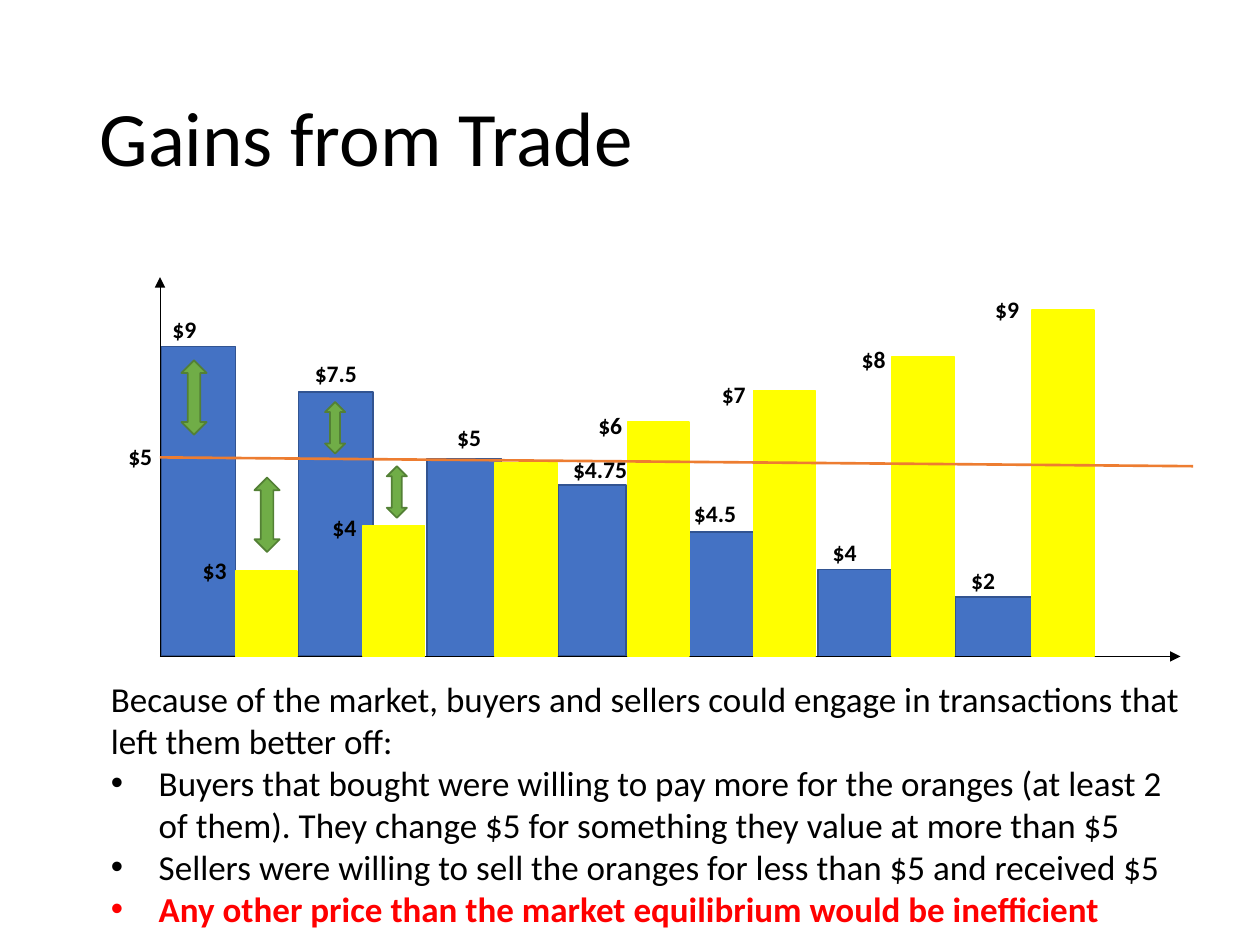
from typing import NamedTuple

from lxml.etree import SubElement
from pptx import Presentation
from pptx.dml.color import RGBColor
from pptx.enum.shapes import MSO_CONNECTOR, MSO_SHAPE
from pptx.enum.text import MSO_ANCHOR, MSO_AUTO_SIZE, PP_ALIGN
from pptx.oxml.ns import qn
from pptx.util import Emu, Inches, Pt

COLS, ROWS = 100, 75
BASE = 52.1
AXIS = 12.7
BLUE, NAVY, YELLOW = "4472C4", "325491", "FFFF00"
GREEN, FOREST, ORANGE = "70AD47", "538035", "ED7D31"
BLACK, RED = "000000", "FF0000"


class Tag(NamedTuple):
    text: str
    left: float
    top: float
    width: float = 3.9


class Bar(NamedTuple):
    left: float
    top: float
    width: float


class Arrow(NamedTuple):
    left: float
    top: float
    width: float
    height: float


BUYERS = [
    Bar(12.8, 27.5, 5.9), Bar(23.7, 31.1, 5.9), Bar(33.9, 36.4, 5.9),
    Bar(44.3, 38.5, 5.4), Bar(54.1, 42.2, 5.9), Bar(64.9, 45.2, 5.9),
    Bar(75.8, 47.4, 6.2),
]
SELLERS = [
    Bar(left, top, 4.9) for left, top in [
        (18.7, 45.3), (28.8, 41.7), (39.3, 36.7), (49.8, 33.5),
        (59.8, 31), (70.8, 28.3), (81.9, 24.6),
    ]
]
TAGS = [
    Tag("$3", 15.1, 43.6), Tag("$4", 25.4, 40.2), Tag("$5", 35.3, 33.1),
    Tag("$6", 46.5, 32.1), Tag("$7", 56.3, 29.7), Tag("$8", 67.4, 26.9),
    Tag("$9", 78, 22.9), Tag("$5", 9.2, 34.6), Tag("$9", 12.7, 24.5),
    Tag("$7.5", 24, 28, 5.4), Tag("$4.75", 44.5, 35.6, 6.3),
    Tag("$4.5", 54.1, 39.1, 5.4), Tag("$4", 65.1, 42.2), Tag("$2", 76.1, 44.4),
]
GAINS = [
    Arrow(14.4, 28.6, 2, 5.9), Arrow(20.2, 37.9, 2, 5.9),
    Arrow(25.8, 31.9, 1.6, 4.1), Arrow(30.7, 37, 1.6, 4.1),
]
INTRO = ("Because of the market, buyers and sellers could engage in "
         "transactions that left them better off:")
POINTS = [
    ("Buyers that bought were willing to pay more for the oranges (at least 2 "
     "of them). They change $5 for something they value at more than $5"),
    "Sellers were willing to sell the oranges for less than $5 and received $5",
]
MORAL = "Any other price than the market equilibrium would be inefficient"

deck = Presentation()
deck.slide_width, deck.slide_height = Inches(10), Inches(7.5)
slide = deck.slides.add_slide(deck.slide_layouts[1])


def col(count: float) -> Emu:
    """Turn grid columns into a length."""
    return Emu(round(deck.slide_width * count / COLS))


def row(count: float) -> Emu:
    """Turn grid rows into a length."""
    return Emu(round(deck.slide_height * count / ROWS))


def hue(code: str) -> RGBColor:
    """Turn a hex string into a colour."""
    return RGBColor.from_string(code)


def place(shape, left: float, top: float, width: float, height: float) -> None:
    """Move a shape to a grid area."""
    shape.left, shape.top = col(left), row(top)
    shape.width, shape.height = col(width), row(height)


def write(frame, text: str, size: float = 20, color: str = BLACK,
          bold: bool = False, bullet: bool = False, space: float = 1.0,
          more: bool = False) -> None:
    """Write one formatted paragraph, after the others if more is set."""
    para = frame.add_paragraph() if more else frame.paragraphs[0]
    props = para._p.get_or_add_pPr()
    indent = Inches(0.38) if bullet else 0
    props.set("marL", str(indent))
    props.set("indent", str(-indent))
    if bullet:
        SubElement(props, qn("a:buFont"), typeface="Arial")
        SubElement(props, qn("a:buChar"), char="•")
    else:
        SubElement(props, qn("a:buNone"))
    para.alignment = PP_ALIGN.LEFT
    para.line_spacing = space
    para.space_before = Pt(0)
    run = para.add_run()
    run.text = text
    run.font.name, run.font.size, run.font.bold = "Calibri", Pt(size), bold
    run.font.color.rgb = hue(color)


def draw(kind: MSO_SHAPE, left: float, top: float, width: float,
         height: float, fill: str, edge: str) -> None:
    """Draw a filled and outlined shape."""
    shape = slide.shapes.add_shape(
        kind, col(left), row(top), col(width), row(height))
    shape.shadow.inherit = False
    shape.fill.solid()
    shape.fill.fore_color.rgb = hue(fill)
    shape.line.color.rgb = hue(edge)
    shape.line.width = Pt(1)


def rule(start: tuple[float, float], end: tuple[float, float], color: str,
         weight: float, head: bool = False) -> None:
    """Draw a straight line, with an arrowhead at its end if asked."""
    line = slide.shapes.add_connector(
        MSO_CONNECTOR.STRAIGHT, col(start[0]), row(start[1]),
        col(end[0]), row(end[1]))
    line.line.color.rgb = hue(color)
    line.line.width = Pt(weight)
    if head:
        SubElement(line.line._get_or_add_ln(), qn("a:tailEnd"), type="triangle")
    SubElement(line._element.spPr, qn("a:effectLst"))


def chart(bars: list[Bar], fill: str, edge: str) -> None:
    """Draw bars that stand on the base line."""
    for bar in bars:
        draw(MSO_SHAPE.RECTANGLE, *bar, BASE - bar.top, fill, edge)


def label(tag: Tag) -> None:
    """Write a price label."""
    box = slide.shapes.add_textbox(
        col(tag.left), row(tag.top), col(tag.width), row(3.3))
    box.text_frame.word_wrap = False
    write(box.text_frame, tag.text, size=13.5, bold=True)


def main() -> None:
    """Build and save the slide."""
    title, body = slide.shapes.title, slide.placeholders[1]
    place(title, 6.9, 4, 86.2, 14.5)
    title.text_frame.vertical_anchor = MSO_ANCHOR.MIDDLE
    write(title.text_frame, "Gains from Trade", size=44, space=0.9)

    chart(BUYERS, BLUE, NAVY)
    rule((AXIS, BASE), (AXIS, 22), BLACK, 0.5, head=True)
    rule((AXIS, BASE), (93.7, BASE), BLACK, 0.5, head=True)
    chart(SELLERS, YELLOW, YELLOW)
    rule((AXIS, 36.3), (94.7, 37), ORANGE, 1.5)
    for tag in TAGS:
        label(tag)
    for gain in GAINS:
        draw(MSO_SHAPE.UP_DOWN_ARROW, *gain, GREEN, FOREST)

    place(body, 7.8, 53.3, 86.9, 21.2)
    frame = body.text_frame
    frame.auto_size = MSO_AUTO_SIZE.NONE
    frame.vertical_anchor = MSO_ANCHOR.TOP
    write(frame, INTRO)
    for point in POINTS:
        write(frame, point, bullet=True, more=True)
    write(frame, MORAL, color=RED, bold=True, bullet=True, more=True)
    deck.save("out.pptx")


if __name__ == "__main__":
    main()
